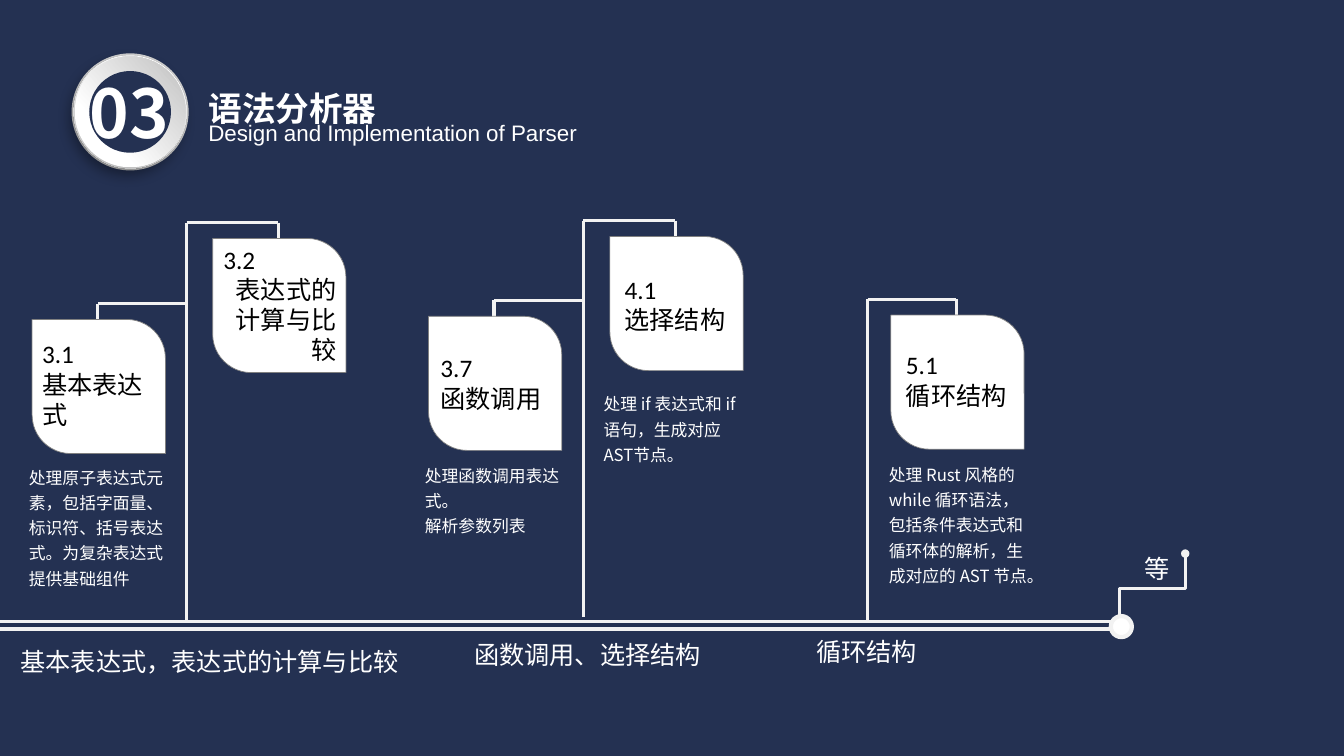
import lxml.etree
import pptx
import pptx.dml.color
import pptx.enum.shapes
import pptx.enum.text
import pptx.oxml.ns
import pptx.util
from dataclasses import dataclass

Cm = pptx.util.Cm
Shape = pptx.enum.shapes.MSO_SHAPE
Align = pptx.enum.text.PP_ALIGN


@dataclass(frozen=True)
class Theme:
    navy: str = "243152"
    white: str = "FFFFFF"
    black: str = "000000"
    rail: str = "F2F2F2"
    edge: str = "808080"
    rim: str = "D3D3D3"
    cjk: str = "Noto Sans CJK SC"
    latin: str = "Calibri"
    subtitle_font: str = "Arial"
    number: int = 48
    title: int = 24
    label: int = 18
    subtitle: int = 16
    body: int = 12


def rgb(value):
    return pptx.dml.color.RGBColor.from_string(value)


def add_xml(parent, tag, **attributes):
    return lxml.etree.SubElement(parent, pptx.oxml.ns.qn(tag), attributes)


def write_text(frame, text, *, size, color, font, bold=False, aligns=(Align.LEFT,),
               spacing=None, wrap=True, inset=None):
    """Fill a text frame, one paragraph per line; the last alignment carries on."""
    frame.word_wrap = wrap
    frame.vertical_anchor = pptx.enum.text.MSO_ANCHOR.TOP
    frame.auto_size = pptx.enum.text.MSO_AUTO_SIZE.SHAPE_TO_FIT_TEXT
    if inset is not None:
        frame.margin_left = frame.margin_right = Cm(inset)
        frame.margin_top = frame.margin_bottom = Cm(inset)
    for index, line in enumerate(text.split("\n")):
        paragraph = frame.add_paragraph() if index else frame.paragraphs[0]
        paragraph.alignment = aligns[min(index, len(aligns) - 1)]
        paragraph.line_spacing = spacing
        run = paragraph.add_run()
        run.text = line
        run.font.size = pptx.util.Pt(size)
        run.font.bold = bold
        run.font.color.rgb = rgb(color)
        run.font.name = font
        add_xml(run.font._element, "a:ea", typeface=Theme.cjk)


class Deck:
    def __init__(self, theme):
        self.theme = theme
        self.presentation = pptx.Presentation()
        self.presentation.slide_width = Cm(33.87)
        self.presentation.slide_height = Cm(19.05)
        self.slide = self.presentation.slides.add_slide(self.presentation.slide_layouts[5])
        self.slide.background.fill.solid()
        self.slide.background.fill.fore_color.rgb = rgb(theme.navy)

    def title(self, text, box, **style):
        placeholder = self.slide.shapes.title
        placeholder.left, placeholder.top, placeholder.width, placeholder.height = map(Cm, box)
        write_text(placeholder.text_frame, text, **style)

    def text(self, text, box, **style):
        write_text(self.slide.shapes.add_textbox(*map(Cm, box)).text_frame, text, **style)

    def line(self, x1, y1, x2, y2, width=2.25, elbow=False):
        kinds = pptx.enum.shapes.MSO_CONNECTOR
        connector = self.slide.shapes.add_connector(
            kinds.ELBOW if elbow else kinds.STRAIGHT, *map(Cm, (x1, y1, x2, y2)))
        connector.line.color.rgb = rgb(self.theme.rail)
        connector.line.width = pptx.util.Pt(width)
        add_xml(connector._element.spPr, "a:effectLst")
        return connector

    def shape(self, kind, box, fill, edge=None, width=0.5, group=None):
        shapes = (group or self.slide).shapes
        shape = shapes.add_shape(kind, *map(Cm, box))
        shape.shadow.inherit = False
        shape.fill.solid()
        shape.fill.fore_color.rgb = rgb(fill)
        if edge:
            shape.line.color.rgb = rgb(edge)
            shape.line.width = pptx.util.Pt(width)
        else:
            shape.line.fill.background()
        return shape

    def disc(self, center_x, center_y, size, fill, **options):
        box = (center_x - size / 2, center_y - size / 2, size, size)
        return self.shape(Shape.OVAL, box, fill, **options)

    def leaf(self, left, top):
        leaf = self.shape(Shape.ROUND_2_DIAG_RECTANGLE, (left, top, 3.36, 3.38),
                          self.theme.white, self.theme.edge)
        leaf.adjustments[0], leaf.adjustments[1] = 0, 0.29

    def gradient(self, shape, *stops):
        shape.fill.gradient()
        shape.fill.gradient_angle = 45
        for stop, (position, color) in zip(shape.fill.gradient_stops, stops):
            stop.position = position
            stop.color.rgb = rgb(color)

    def ring(self, x, y):
        group = self.slide.shapes.add_group_shape()
        self.disc(x, y, 2.95, self.theme.rim, group=group)
        bevel = self.disc(x, y, 2.84, self.theme.white, group=group)
        bevel.rotation = 152.3
        self.gradient(bevel, (0.17, self.theme.white), (0.88, "B8B8B8"))
        effects = bevel._element.spPr.find(pptx.oxml.ns.qn("a:effectLst"))
        shadow = add_xml(effects, "a:outerShdw", blurRad="127000", dist="63500",
                         dir="7380000", algn="ctr", rotWithShape="0")
        add_xml(add_xml(shadow, "a:srgbClr", val=self.theme.black), "a:alpha", val="39000")
        face = self.disc(x, y, 2.79, self.theme.white, group=group)
        face.rotation = 3
        self.gradient(face, (0.29, self.theme.white), (0.98, "BFBFBF"))
        self.disc(x, y, 2.06, self.theme.navy, group=group)


# Stem x, stem bottom, and cards: arm y, leaf left, label, label box, label format
BRANCHES = [
    (4.7, 15.62, [
        (7.65, 0.81, "3.1\n基本表达式", (0.81, 8.41, 3.3, 2.57), {}),
        (5.61, 5.36, "3.2\n表达式的计算与比较", (5.38, 6.02, 3.35, 3.33),
         {"aligns": (Align.LEFT, Align.RIGHT)}),
    ]),
    (14.7, 15.54, [
        (7.57, 10.8, "3.7\n函数调用", (10.85, 8.76, 3.07, 1.8), {"wrap": False}),
        (5.56, 15.37, "4.1\n选择结构", (15.49, 6.78, 3.07, 1.8), {"wrap": False}),
    ]),
    (21.87, 15.62, [
        (7.54, 22.45, "5.1\n循环结构", (22.58, 8.69, 3.07, 1.8), {"wrap": False}),
    ]),
]

# Left, top, height, text
DESCRIPTIONS = [
    (0.48, 11.53, 3.4, "处理原子表达式元素，包括字面量、标识符、括号表达式。为复杂表达式提供基础组件"),
    (10.46, 11.48, 2.13, "处理函数调用表达式。\n解析参数列表"),
    (14.96, 9.68, 2.13, "处理 if 表达式和 if 语句，生成对应AST节点。"),
    (22.15, 11.46, 4.04, "处理 Rust 风格的 while 循环语法，包括条件表达式和循环体的解析，生成对应的 AST 节点。"),
]

# Left, top, width, text
CAPTIONS = [
    (0.3, 16.15, 9.96, "基本表达式，表达式的计算与比较"),
    (11.73, 15.98, 6.15, "函数调用、选择结构"),
    (20.37, 15.9, 2.95, "循环结构"),
]


def main():
    theme = Theme()
    deck = Deck(theme)
    label = {"size": theme.label, "font": theme.latin}

    # Header
    deck.ring(3.28, 2.82)
    deck.text("03", (1.5, 1.68, 3.53, 2.31), size=theme.number, color=theme.white,
              font=theme.cjk, bold=True, aligns=(Align.CENTER,))
    deck.title("语法分析器", (5, 1.07, 4.78, 2.01), size=theme.title, color=theme.white,
               font=theme.cjk, bold=True, spacing=2.0, wrap=False)
    deck.text("Design and Implementation of Parser", (5, 2.87, 13.94, 0.94),
              size=theme.subtitle, color=theme.white, font=theme.subtitle_font)

    # Rails and the bent end line with round tips
    for y in (15.67, 15.85):
        deck.line(0, y, 28.52, y)
    end = deck.line(29.92, 15.65, 28.17, 14, width=2, elbow=True)
    end._element.spPr.xfrm.set("rot", "5400000")
    outline = end.line._get_or_add_ln()
    for tip in ("a:headEnd", "a:tailEnd"):
        add_xml(outline, tip, type="oval")
    deck.disc(28.26, 15.79, 0.53, theme.white, edge=theme.rail, width=3)
    deck.text("等", (28.6, 13.82, 1.14, 1.02), color=theme.white, wrap=False, **label)

    # Branches with their cards
    for stem, bottom, cards in BRANCHES:
        deck.line(stem, bottom, stem, min(card[0] for card in cards))
        for arm, left, name, box, style in cards:
            hook = left + 1.65
            deck.line(stem, arm, hook, arm)
            deck.line(hook, arm, hook, arm + 0.6)
            deck.leaf(left, arm + 0.4)
            deck.text(name, box, color=theme.black, **label, **style)

    # Descriptions and captions
    for left, top, height, text in DESCRIPTIONS:
        deck.text(text, (left, top, 4.04, height), size=theme.body, color=theme.white,
                  font=theme.cjk, spacing=1.25)
    for left, top, width, text in CAPTIONS:
        deck.text(text, (left, top, width, 1.02), color=theme.white, wrap=False,
                  inset=0.13, aligns=(Align.CENTER,), **label)

    deck.presentation.save("out.pptx")


if __name__ == "__main__":
    main()
